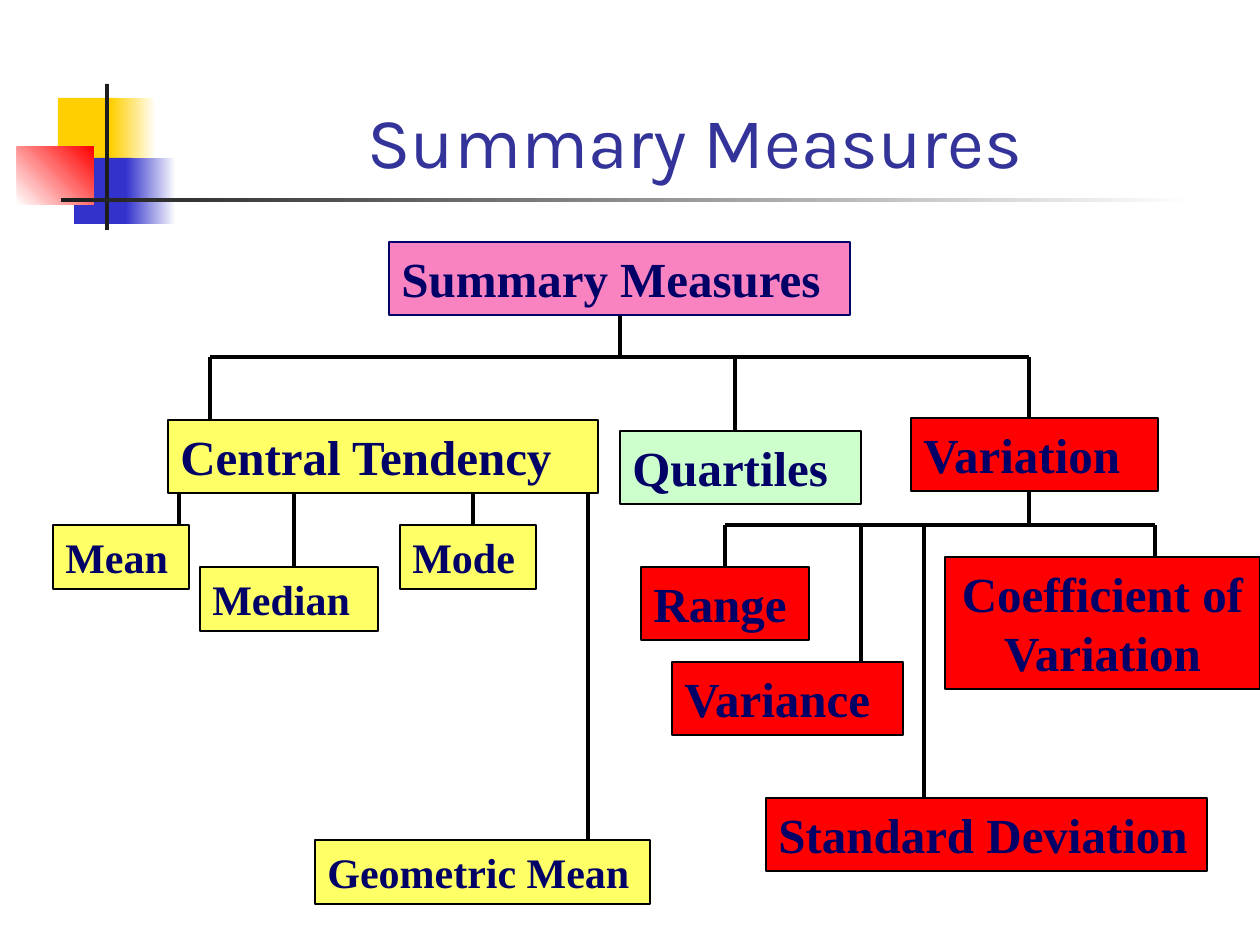
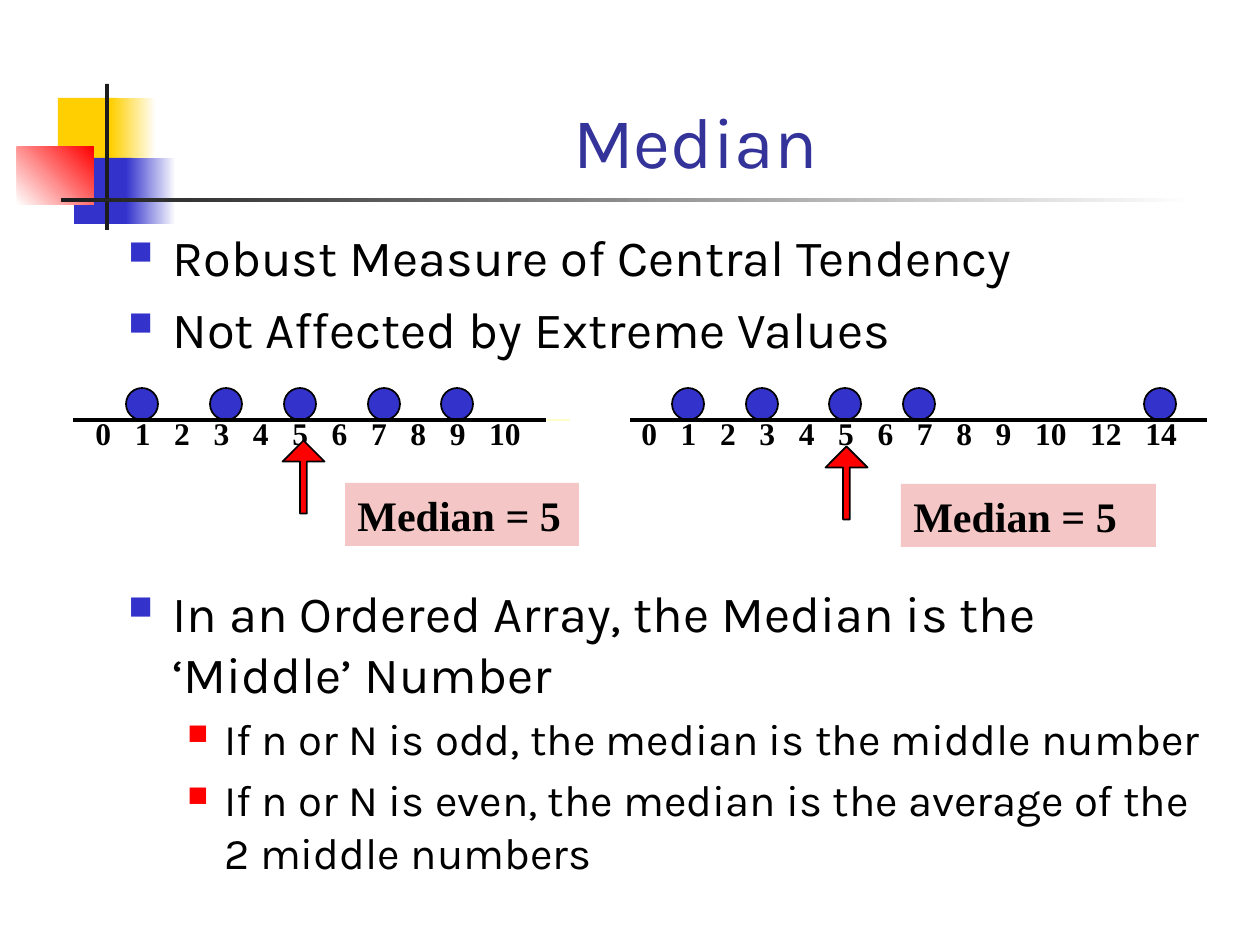
"""Builds two statistics slides: a tree of summary measures and the median."""
from lxml import etree
from pptx import Presentation
from pptx.dml.color import RGBColor
from pptx.enum.shapes import MSO_CONNECTOR, MSO_SHAPE
from pptx.enum.text import MSO_ANCHOR, MSO_AUTO_SIZE, PP_ALIGN
from pptx.oxml.ns import qn
from pptx.util import Pt

RECT, OVAL, ARROW = MSO_SHAPE.RECTANGLE, MSO_SHAPE.OVAL, MSO_SHAPE.RIGHT_ARROW
LINE = MSO_CONNECTOR.STRAIGHT
LEFT, MID = PP_ALIGN.LEFT, PP_ALIGN.CENTER
TOP, BASE = MSO_ANCHOR.TOP, MSO_ANCHOR.BOTTOM
FIXED = MSO_AUTO_SIZE.NONE

PX = 914400 / 126
SANS, SERIF = "Karla", "Times New Roman"
BLACK = RGBColor(0, 0, 0)
WHITE = RGBColor(255, 255, 255)
COAL = RGBColor(0x1C, 0x1C, 0x1C)
GOLD = RGBColor(0xFF, 0xCF, 0x01)
BLUE = RGBColor(0x33, 0x33, 0xCC)
RED = RGBColor(0xFF, 0, 0)
INDIGO = RGBColor(0x33, 0x33, 0x99)
NAVY = RGBColor(0, 0, 0x66)
PINK = RGBColor(0xF9, 0x83, 0xC1)
LEMON = RGBColor(0xFF, 0xFF, 0x66)
MINT = RGBColor(0xCC, 0xFF, 0xCC)
ROSE = RGBColor(0xF4, 0xC7, 0xC6)
CREAM = RGBColor(0xFF, 0xFF, 0xCC)


def put(slide, kind, spot, fill=None, edge=None, text="", size=18, ink=BLACK):
    spot = [round(v * PX) for v in spot]
    if kind is None:
        shape = slide.shapes.add_textbox(*spot)
    else:
        shape = slide.shapes.add_shape(kind, *spot)
        shape.shadow.inherit = False
    if isinstance(fill, tuple) and not isinstance(fill, RGBColor):
        start, end, angle = fill
        shape.fill.gradient()
        shape.fill.gradient_angle = angle
        for stop, color in zip(shape.fill.gradient_stops, (start, end)):
            stop.color.rgb = color
    elif fill is not None:
        shape.fill.solid()
        shape.fill.fore_color.rgb = fill
    if edge is None:
        shape.line.fill.background()
    else:
        shape.line.color.rgb = edge
        shape.line.width = Pt(1)
    if text:
        frame = shape.text_frame
        frame.text = text
        frame.word_wrap = True
        frame.auto_size = FIXED
        frame.vertical_anchor = TOP
        for para in frame.paragraphs:
            para.alignment = LEFT
            font = para.runs[0].font
            font.name, font.size, font.bold = SERIF, Pt(size), True
            font.color.rgb = ink
    return shape


def rule(slide, ends, color=BLACK, width=2.25):
    line = slide.shapes.add_connector(LINE, *[round(v * PX) for v in ends])
    line.line.color.rgb = color
    line.line.width = Pt(width)
    etree.SubElement(line._element.spPr, qn("a:effectLst"))


deck = Presentation()
deck.slide_width, deck.slide_height = round(1260 * PX), round(945 * PX)

motif = [
    ((58, 98, 60, 66), GOLD),
    ((111, 98, 45, 66), (GOLD, WHITE, 0)),
    ((74, 158, 58, 66), BLUE),
    ((126, 158, 50, 66), (BLUE, WHITE, 0)),
    ((17, 147, 77, 58), (WHITE, RED, 45)),
    ((105, 84, 4, 146), COAL),
    ((61, 198, 1134, 4), (COAL, WHITE, 0)),
]
for name in ("Summary Measures", "Median"):
    slide = deck.slides.add_slide(deck.slide_layouts[5])
    for spot, fill in motif:
        put(slide, RECT, spot, fill)
    title = slide.shapes.title
    title.left, title.top = round(159 * PX), round(31 * PX)
    title.width, title.height = round(1073 * PX), round(158 * PX)
    frame = title.text_frame
    frame.text = name
    frame.auto_size = FIXED
    frame.vertical_anchor = BASE
    para = frame.paragraphs[0]
    para.alignment = MID
    font = para.runs[0].font
    font.name, font.size = SANS, Pt(41)
    font.color.rgb = INDIGO

tree, median = deck.slides

drops = [
    (620, 305, 357), (210, 357, 431), (735, 357, 437), (1029, 357, 422),
    (179, 483, 532), (294, 489, 573), (473, 488, 525), (588, 494, 851),
    (1029, 481, 525), (725, 525, 572), (861, 525, 672), (924, 525, 809),
    (1155, 525, 561),
]
for x, top, end in drops:
    rule(tree, (x, top, x, end))
for y, start, end in [(357, 210, 1029), (525, 725, 1155)]:
    rule(tree, (start, y, end, y))

nodes = [
    ("Summary Measures", 389, 242, 461, 28, PINK),
    ("Central Tendency", 168, 420, 430, 28, LEMON),
    ("Quartiles", 620, 431, 241, 28, MINT),
    ("Variation", 911, 418, 247, 28, RED),
    ("Mean", 53, 525, 136, 24, LEMON),
    ("Median", 200, 567, 178, 24, LEMON),
    ("Mode", 400, 525, 136, 24, LEMON),
    ("Geometric Mean", 315, 840, 335, 24, LEMON),
    ("Range", 641, 567, 168, 28, RED),
    ("Variance", 672, 662, 231, 28, RED),
    ("Standard Deviation", 766, 798, 441, 28, RED),
]
for text, x, y, wide, size, fill in nodes:
    edge = NAVY if fill == PINK else BLACK
    tall = 73 if size == 28 else 64
    put(tree, RECT, (x, y, wide, tall), fill, edge, text, size, NAVY)
ratio = put(tree, RECT, (945, 557, 315, 132), RED, BLACK,
            "Coefficient of Variation", 28, NAVY)
ratio.text_frame.paragraphs[0].alignment = MID

points = [
    ("Robust Measure of Central Tendency", 0, 0),
    ("Not Affected by Extreme Values", 0, 5.8),
    ("In an Ordered Array, the Median is the ‘Middle’ Number", 0, 127.5),
    ("If n or N is odd, the median is the middle number", 1, 5),
    ("If n or N is even, the median is the average of the 2 middle numbers", 1, 5),
]
levels = [(29, 44, 44, BLUE), (25, 96, 37, RED)]
body = put(median, None, (116, 220, 1113, 625),
           text="\n".join(point[0] for point in points))
for para, (text, level, gap) in zip(body.text_frame.paragraphs, points):
    size, margin, hang, color = levels[level]
    para.level = level
    para.space_before = Pt(gap)
    font = para.runs[0].font
    font.name, font.size, font.bold = SANS, Pt(size), False
    props = para._p.get_or_add_pPr()
    props.set("marL", str(round(margin * PX)))
    props.set("indent", str(round(-hang * PX)))
    tint = etree.SubElement(props, qn("a:buClr"))
    etree.SubElement(tint, qn("a:srgbClr"), val=str(color))
    etree.SubElement(props, qn("a:buSzPct"), val="65000")
    etree.SubElement(props, qn("a:buChar"), char="■")

rule(median, (107, 420, 570, 420), CREAM, 1)
ticks = list(range(11))
plots = [
    (73, 546, (83, 408, 549, 50), ticks, (126, 210, 284, 368, 441),
     (267, 456), (345, 483, 234, 63)),
    (630, 1207, (629, 408, 591, 50), ticks + [12, 14], (672, 746, 829, 903, 1144),
     (810, 462), (901, 484, 255, 63)),
]
for start, end, spot, marks, dots, tip, note in plots:
    scale = put(median, None, spot, text="\t".join(str(mark) for mark in marks))
    props = scale.text_frame.paragraphs[0]._p.get_or_add_pPr()
    tabs = etree.SubElement(props, qn("a:tabLst"))
    stop = 0
    for mark in marks[:-1]:
        stop += 22.5 if mark < 10 else 31.5
        etree.SubElement(tabs, qn("a:tab"), pos=str(Pt(stop)), algn="l")
    for x in dots:
        put(median, OVAL, (x, 388, 32, 32), BLUE, BLACK)
    arrow = put(median, ARROW, (*tip, 73, 42), RED, BLACK)
    arrow.rotation = 270
    arrow.adjustments[0], arrow.adjustments[1] = 0.16, 0.5
    put(median, RECT, note, ROSE, None, "Median = 5", 24)
    rule(median, (start, 420, end, 420))

deck.save("out.pptx")
